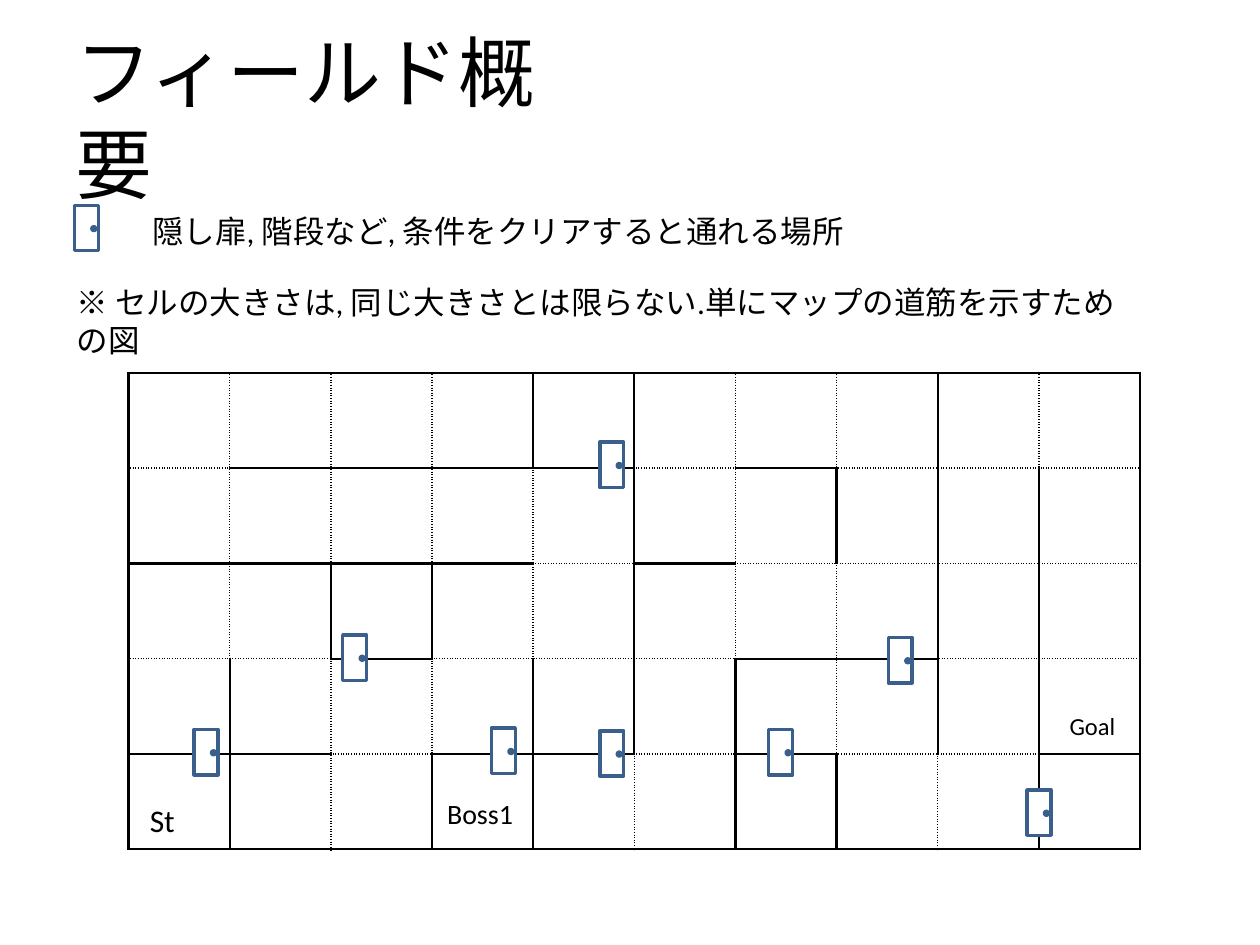
from lxml import etree
from pptx import Presentation
from pptx import util as u
from pptx.dml.color import RGBColor
from pptx.enum import shapes, text
from pptx.oxml import ns

THEME = {
    "font": "Calibri", "ink": "000000", "paper": "FFFFFF",
    "door_line": "3A5F8C", "knob": "4F81BD",
    "title": 44, "body": 18, "boss": 16, "goal": 14,
    "door_width": 2,
}

# Content: text, box (left, top, width, height), format
TEXTS = [
    ("フィールド概要", (0.5, 0.3, 4.36, 1.25),
     {"size": "title", "anchor": text.MSO_ANCHOR.MIDDLE, "grow": False}),
    ("隠し扉, 階段など, 条件をクリアすると通れる場所", (1.11, 1.63, 6.73, 0.4), {}),
    ("※ セルの大きさは, 同じ大きさとは限らない.単にマップの道筋を示すための図",
     (0.51, 2.2, 8.47, 0.4), {}),
    ("St", (1.09, 6.31, 0.41, 0.4), {"wrap": False}),
    ("Boss1", (3.45, 6.27, 0.78, 0.37), {"size": "boss", "wrap": False}),
    ("Goal", (8.39, 5.59, 0.6, 0.34), {"size": "goal", "wrap": False}),
]

# Maze edges: "#" is a wall, "." is an open passage
FLOORS = [  # horizontal edges, top to bottom
    "##########",
    ".####.#...",
    "####.#....",
    "..#...##..",
    "##.##.#..#",
    "##########",
]
SIDES = [  # vertical edges of each row, left to right
    "#...##..#.#",
    "#....#.####",
    "#.##.#..###",
    "##..###.###",
    "##.##.##.##",
]
MAZE = (1.02, 2.96, 8.03, 3.78)
EDGE_STYLES = {"#": (1.5, "solid"), ".": (1, "sysDot")}

# Left and top of each door; the first belongs to the legend
DOORS = [(0.59, 1.63), (1.54, 5.79), (4.76, 5.8), (2.72, 5.04), (3.9, 5.78),
         (4.76, 3.51), (8.15, 6.27), (6.1, 5.79), (7.05, 5.06)]
DOOR_SIZE = (0.19, 0.36)
KNOB_OFFSET, KNOB_SIZE = (0.14, 0.17), (0.03, 0.03)


def inches(*values):
    return [u.Inches(value) for value in values]


def color(name):
    return RGBColor.from_string(THEME[name])


def add_text(page, words, place, size="body", wrap=True, grow=True,
             anchor=text.MSO_ANCHOR.TOP):
    box = page.shapes.add_textbox(*inches(*place))
    frame = box.text_frame
    frame.word_wrap = wrap
    frame.vertical_anchor = anchor
    frame.auto_size = (text.MSO_AUTO_SIZE.SHAPE_TO_FIT_TEXT if grow
                       else text.MSO_AUTO_SIZE.NONE)
    span = frame.paragraphs[0].add_run()
    span.text = words
    span.font.name = THEME["font"]
    span.font.size = u.Pt(THEME[size])
    span.font.color.rgb = color("ink")


def add_edge(cell, side, mark):
    width, dash = EDGE_STYLES[mark]
    properties = cell._tc.get_or_add_tcPr()
    line = etree.SubElement(properties, ns.qn(f"a:ln{side}"), w=str(u.Pt(width)))
    fill = etree.SubElement(line, ns.qn("a:solidFill"))
    etree.SubElement(fill, ns.qn("a:srgbClr"), val=THEME["ink"])
    etree.SubElement(line, ns.qn("a:prstDash"), val=dash)


def add_maze(page):
    rows, columns = len(SIDES), len(FLOORS[0])
    table = page.shapes.add_table(rows, columns, *inches(*MAZE)).table
    for column in table.columns:
        column.width = u.Inches(MAZE[2] / columns)
    for row in table.rows:
        row.height = u.Inches(MAZE[3] / rows)
    for r in range(rows):
        for c in range(columns):
            cell = table.cell(r, c)
            add_edge(cell, "L", SIDES[r][c])
            add_edge(cell, "R", SIDES[r][c + 1])
            add_edge(cell, "T", FLOORS[r][c])
            add_edge(cell, "B", FLOORS[r + 1][c])
            cell.fill.background()


def add_door(page, left, top):
    group = page.shapes.add_group_shape()
    knob_place = (left + KNOB_OFFSET[0], top + KNOB_OFFSET[1], *KNOB_SIZE)
    parts = [
        (shapes.MSO_SHAPE.RECTANGLE, (left, top, *DOOR_SIZE), "paper"),
        (shapes.MSO_SHAPE.OVAL, knob_place, "knob"),
    ]
    for kind, place, fill in parts:
        shape = group.shapes.add_shape(kind, *inches(*place))
        shape.shadow.inherit = False
        shape.fill.solid()
        shape.fill.fore_color.rgb = color(fill)
        shape.line.color.rgb = color("door_line")
        shape.line.width = u.Pt(THEME["door_width"])


def main():
    deck = Presentation()
    deck.slide_width, deck.slide_height = inches(10, 7.5)
    page = deck.slides.add_slide(deck.slide_layouts[6])

    # Map, then doors and labels above it
    add_maze(page)
    for left, top in DOORS:
        add_door(page, left, top)
    for words, place, style in TEXTS:
        add_text(page, words, place, **style)

    deck.save("out.pptx")


if __name__ == "__main__":
    main()
